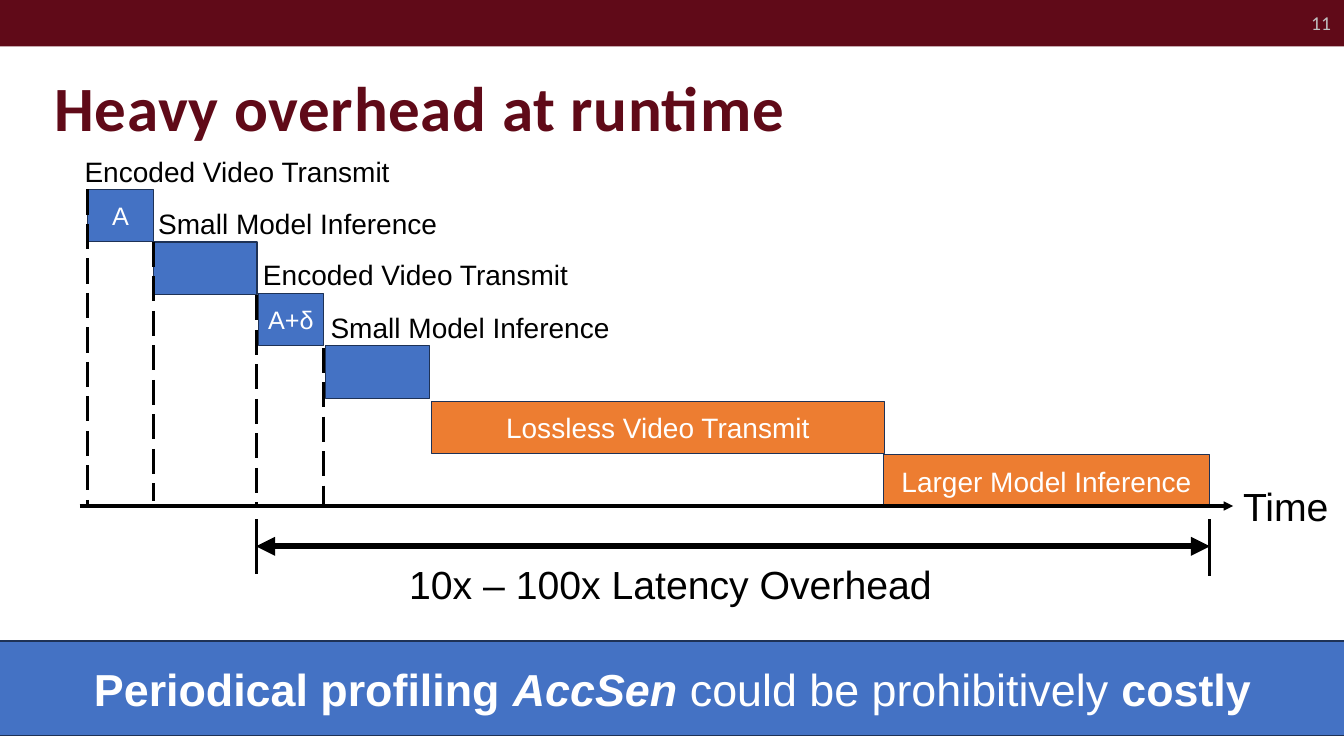
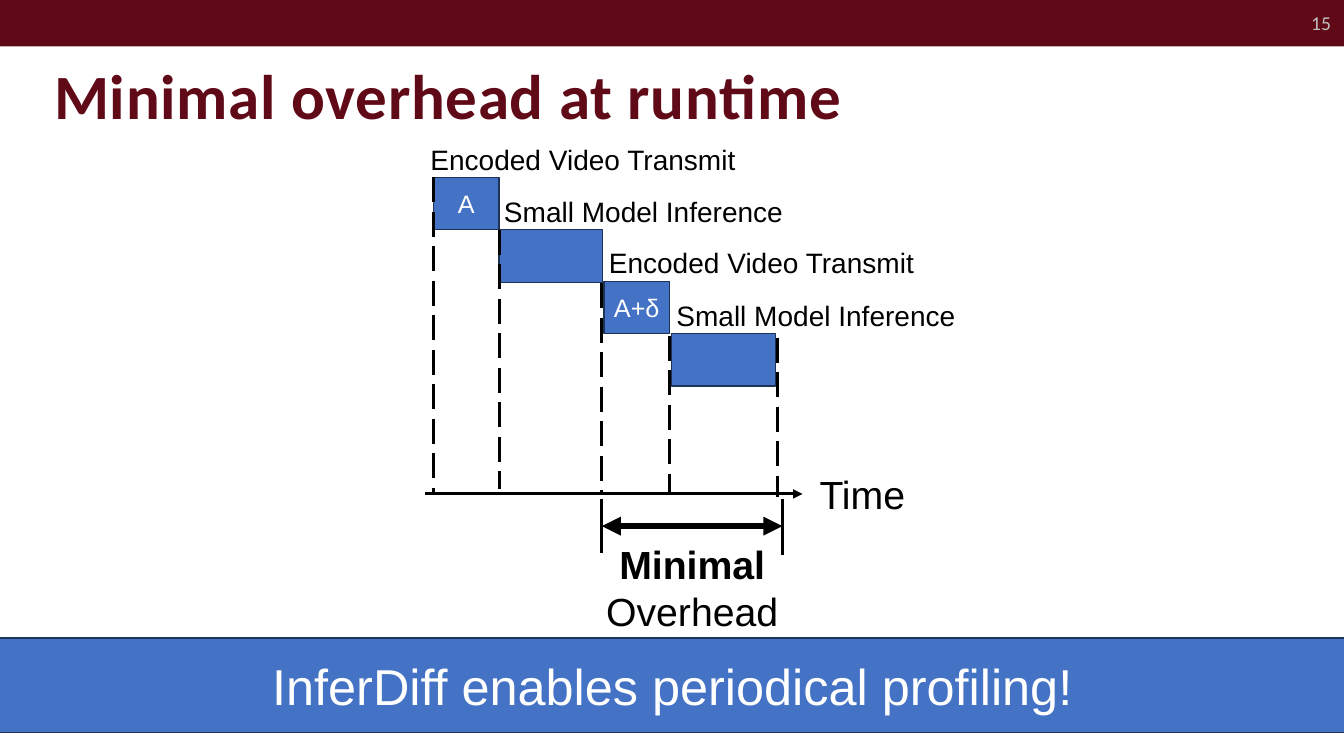
import dataclasses

import lxml.etree
import pptx
import pptx.dml.color
import pptx.enum.dml
import pptx.enum.shapes
import pptx.enum.text
import pptx.oxml.ns
import pptx.util

Inches = pptx.util.Inches
Align = pptx.enum.text.PP_ALIGN
Anchor = pptx.enum.text.MSO_ANCHOR


@dataclasses.dataclass(frozen=True)
class Theme:
    maroon: str = "600A18"
    blue: str = "4472C4"
    orange: str = "ED7D31"
    edge: str = "1E3256"
    white: str = "FFFFFF"
    black: str = "000000"
    gray: str = "BFBFBF"
    heading_font: str = "Calibri"
    body_font: str = "Arial"
    title_size: int = 45
    large_size: int = 28
    label_size: int = 20
    block_size: int = 18
    number_size: int = 14
    edge_width: float = 0.85
    thin_width: float = 2.25
    thick_width: float = 4.5


@dataclasses.dataclass(frozen=True)
class Span:
    text: str
    bold: bool = False
    italic: bool = False


THEME = Theme()
BLOCK_HEIGHT = 0.52
AXIS_DROP = 3.14
SPAN_OFFSET = 1.67
STEPS = (
    (0, 0, 0.65, "A", "Encoded Video Transmit", -0.13),
    (0.65, 0.52, 1.03, "", "Small Model Inference", -0.05),
    (1.69, 1.03, 0.65, "A+δ", "Encoded Video Transmit", -0.05),
    (2.36, 1.55, 1.03, "", "Small Model Inference", -0.05),
)
GUIDES = ((0, 0, 3.14), (0.65, 0.52, 3.09), (SPAN_OFFSET, 1.05, 3.14), (2.34, 1.57, 3.14))


def color(value):
    return pptx.dml.color.RGBColor.from_string(value)


def write(shape, spans, size, ink, font=THEME.body_font, align=Align.LEFT, anchor=Anchor.TOP):
    frame = shape.text_frame
    frame.word_wrap = True
    frame.vertical_anchor = anchor
    para = frame.paragraphs[0]
    para.alignment = align
    for span in spans:
        run = para.add_run()
        run.text = span.text
        run.font.name = font
        run.font.size = pptx.util.Pt(size)
        run.font.bold = span.bold
        run.font.italic = span.italic
        run.font.color.rgb = color(ink)
    return frame


def add_text(page, area, spans, size=THEME.label_size, ink=THEME.black, **style):
    box = page.shapes.add_textbox(*map(Inches, area))
    return write(box, spans, size, ink, **style)


def add_box(page, area, fill, spans=(), size=THEME.label_size, edge=THEME.edge):
    box = page.shapes.add_shape(pptx.enum.shapes.MSO_SHAPE.RECTANGLE, *map(Inches, area))
    box.shadow.inherit = False
    box.fill.solid()
    box.fill.fore_color.rgb = color(fill)
    if edge:
        box.line.color.rgb = color(edge)
        box.line.width = pptx.util.Pt(THEME.edge_width)
    else:
        box.line.fill.background()
    if spans:
        write(box, spans, size, THEME.white, align=Align.CENTER, anchor=Anchor.MIDDLE)


def add_line(page, start, end, width=THEME.thin_width, dashed=False, arrows=()):
    connector = page.shapes.add_connector(
        pptx.enum.shapes.MSO_CONNECTOR.STRAIGHT, *map(Inches, start + end))
    connector.line.color.rgb = color(THEME.black)
    connector.line.width = pptx.util.Pt(width)
    if dashed:
        connector.line.dash_style = pptx.enum.dml.MSO_LINE.LONG_DASH
    properties = connector._element.spPr
    outline = properties.find(pptx.oxml.ns.qn("a:ln"))
    for arrow in arrows:
        lxml.etree.SubElement(outline, pptx.oxml.ns.qn(arrow), type="triangle")
    lxml.etree.SubElement(properties, pptx.oxml.ns.qn("a:effectLst"))


def add_page(deck, title, title_top, number):
    page = deck.slides.add_slide(deck.slide_layouts[6])
    add_box(page, (0, 0, 13.33, 0.46), THEME.maroon, edge=None)
    frame = add_text(page, (0.44, title_top, 12.57, 1.25), [Span(title, bold=True)],
                     THEME.title_size, THEME.maroon, font=THEME.heading_font,
                     anchor=Anchor.BOTTOM)
    frame.margin_bottom = 0
    for run in frame.paragraphs[0].runs:
        run.font._element.set("spc", "50")
    add_text(page, (12.13, 0.03, 1.17, 0.4), [Span(number)], THEME.number_size, THEME.gray,
             font=THEME.heading_font, align=Align.RIGHT, anchor=Anchor.MIDDLE)
    return page


def add_steps(page, left, top):
    for across, down, width, name, label, shift in STEPS:
        x, y = left + across, top + down
        spans = [Span(name)] if name else []
        add_box(page, (x, y, width, BLOCK_HEIGHT), THEME.blue, spans, THEME.block_size)
        add_text(page, (x + shift, y - 0.4, 3.42, 0.44), [Span(label)])
    for across, start, end in GUIDES:
        add_line(page, (left + across, top + start), (left + across, top + end), dashed=True)


def add_time_axis(page, left, top, right, label_left):
    y = top + AXIS_DROP
    add_line(page, (left - 0.08, y), (right, y), arrows=("a:tailEnd",))
    add_text(page, (label_left, y - 0.28, 1.19, 0.57), [Span("Time")], THEME.large_size)


def add_overhead(page, left, right, tick_top):
    middle = tick_top + 0.27
    add_line(page, (left, middle), (right, middle), THEME.thick_width,
             arrows=("a:headEnd", "a:tailEnd"))
    for x, height in ((left, 0.54), (right, 0.56)):
        add_line(page, (x, tick_top), (x, tick_top + height))


def add_banner(page, top, spans, size):
    add_box(page, (-0.02, top, 13.38, 0.94), THEME.blue, spans, size)


def build_heavy(deck):
    page = add_page(deck, "Heavy overhead at runtime", 0.18, "11")
    left, top = 0.87, 1.88
    add_box(page, (4.28, 3.98, 4.49, BLOCK_HEIGHT), THEME.orange, [Span("Lossless Video Transmit")])
    add_box(page, (8.76, 4.51, 3.24, BLOCK_HEIGHT), THEME.orange, [Span("Larger Model Inference")])
    add_steps(page, left, top)
    add_time_axis(page, left, top, 12.23, 12.23)
    add_overhead(page, left + SPAN_OFFSET, 12, 5.15)
    add_text(page, (3.96, 5.51, 8.88, 0.57), [Span("10x – 100x Latency Overhead")],
             THEME.large_size)
    add_banner(page, 6.36, [
        Span("Periodical profiling ", bold=True),
        Span("AccSen ", bold=True, italic=True),
        Span("could be prohibitively "),
        Span("costly", bold=True),
    ], 32)


def build_minimal(deck):
    page = add_page(deck, "Minimal overhead at runtime", 0.06, "15")
    left, top = 4.3, 1.76
    add_steps(page, left, top)
    add_line(page, (7.71, 3.35), (7.71, 4.93), dashed=True)
    add_time_axis(page, left, top, 7.96, 8.03)
    add_overhead(page, left + SPAN_OFFSET, 7.76, 4.95)
    add_text(page, (5.74, 5.31, 2.25, 1.04), [Span("Minimal", bold=True), Span(" Overhead")],
             THEME.large_size, align=Align.CENTER)
    add_banner(page, 6.33, [Span("InferDiff enables periodical profiling!")], 36)


def main():
    deck = pptx.Presentation()
    deck.slide_width = Inches(13.33)
    deck.slide_height = Inches(7.5)
    build_heavy(deck)
    build_minimal(deck)
    deck.save("out.pptx")


if __name__ == "__main__":
    main()
